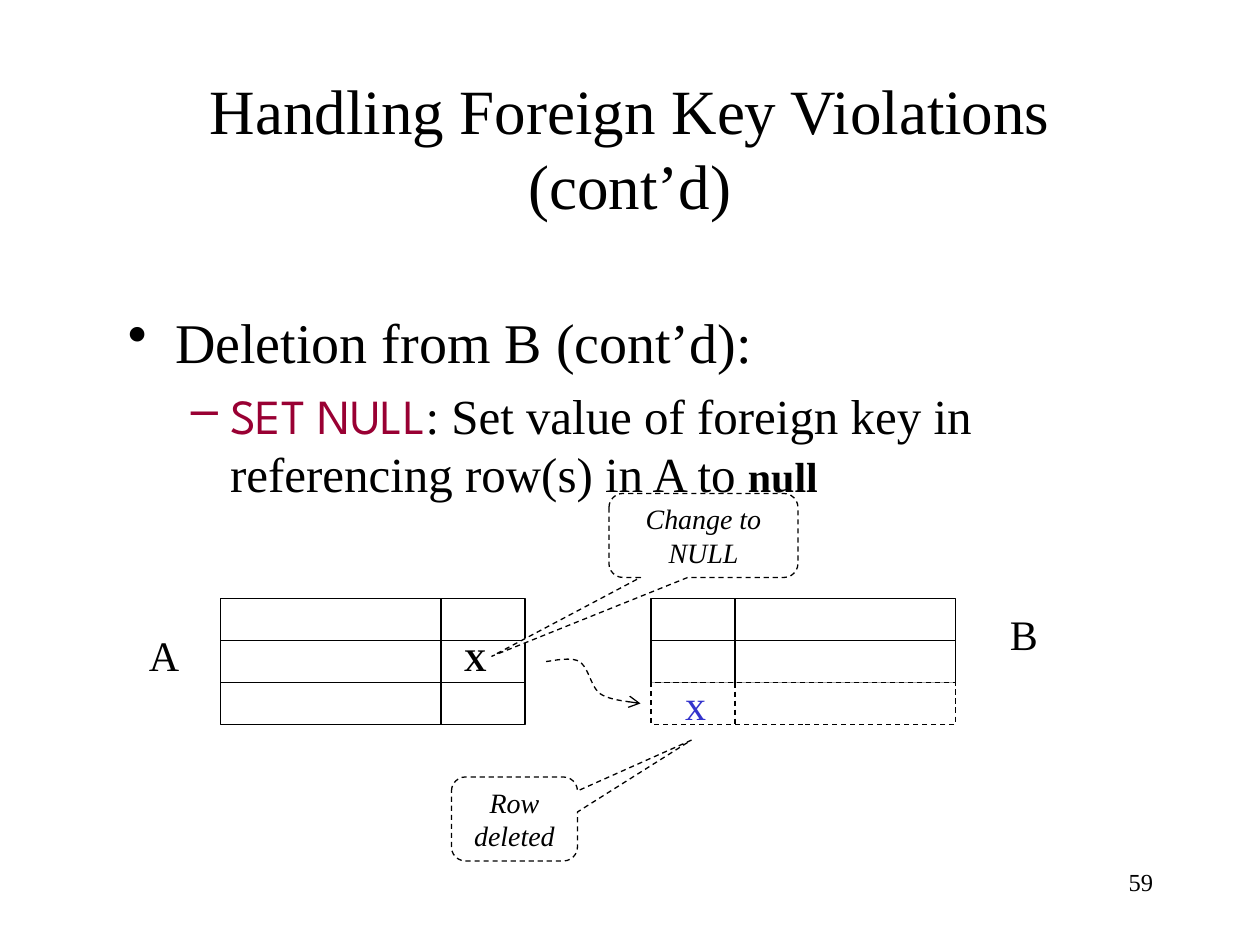
from dataclasses import dataclass

from lxml import etree
from pptx import Presentation
from pptx import util as u
from pptx.dml.color import RGBColor
from pptx.enum import dml, shapes, text
from pptx.oxml.ns import qn


@dataclass(frozen=True)
class Theme:
    font: str = "Times New Roman"
    keyword_font: str = "League Spartan"
    black: RGBColor = RGBColor(0, 0, 0)
    white: RGBColor = RGBColor(255, 255, 255)
    keyword: RGBColor = RGBColor(0x99, 0x00, 0x33)
    deleted: RGBColor = RGBColor(0x33, 0x33, 0xCC)
    title: int = 36
    body: int = 32
    detail: int = 28
    label: int = 24
    mark: int = 18
    note: int = 16
    number: int = 14
    line: float = 0.75


THEME = Theme()
ROW = 24  # height of a table row
TABLE_TOP, TABLE_WIDTH = 342, 174
CENTER = text.PP_ALIGN.CENTER
MIDDLE = text.MSO_ANCHOR.MIDDLE


def points(*values):
    return [u.Pt(value) for value in values]


def add_run(paragraph, words, size, color=THEME.black, **formats):
    run = paragraph.add_run()
    run.text = words
    run.font.color.rgb = color
    values = {"name": THEME.font, "size": u.Pt(size), **formats}
    for name, value in values.items():
        setattr(run.font, name, value)


def write(shape, words, size, color=THEME.black, align=text.PP_ALIGN.LEFT,
          anchor=text.MSO_ANCHOR.TOP, wrap=True, **formats):
    frame = shape.text_frame
    for name, value in {"word_wrap": wrap, "vertical_anchor": anchor}.items():
        setattr(frame, name, value)
    if not wrap:
        frame.auto_size = text.MSO_AUTO_SIZE.SHAPE_TO_FIT_TEXT
    paragraph = frame.paragraphs[0]
    paragraph.alignment = align
    add_run(paragraph, words, size, color, **formats)


def add_text(slide, box, *args, **options):
    write(slide.shapes.add_textbox(*points(*box)), *args, **options)


def add_bullet(paragraph, symbol, left, hanging, before=0):
    properties = paragraph._p.get_or_add_pPr()
    properties.set("marL", str(u.Pt(left)))
    properties.set("indent", str(u.Pt(-hanging)))
    etree.SubElement(properties, qn("a:buChar"), char=symbol)
    paragraph.space_before = u.Pt(before)


def style_line(line, dashed=False):
    line.color.rgb = THEME.black
    line.width = u.Pt(THEME.line)
    if dashed:
        line.dash_style = dml.MSO_LINE.DASH


def add_shape(slide, kind, box, dashed=False, adjustments=()):
    shape = slide.shapes.add_shape(kind, *points(*box))
    shape.shadow.inherit = False
    shape.fill.solid()
    shape.fill.fore_color.rgb = THEME.white
    style_line(shape.line, dashed)
    for index, value in enumerate(adjustments):
        shape.adjustments[index] = value
    return shape


def add_line(slide, start, end, dashed=False):
    connector = slide.shapes.add_connector(
        shapes.MSO_CONNECTOR.STRAIGHT, *points(*start, *end))
    style_line(connector.line, dashed)
    etree.SubElement(connector._element.spPr, qn("a:effectLst"))


def add_grid(slide, left, top, rows, divider, dashed=False):
    """A ruled box with equal rows and one column divider."""
    bottom = top + rows * ROW
    add_shape(slide, shapes.MSO_SHAPE.RECTANGLE,
              (left, top, TABLE_WIDTH, rows * ROW), dashed)
    for row in range(1, rows):
        y = top + row * ROW
        add_line(slide, (left, y), (left + TABLE_WIDTH, y), dashed)
    add_line(slide, (divider, top), (divider, bottom), dashed)


def add_callout(slide, box, words, tip):
    shape = add_shape(slide, shapes.MSO_SHAPE.ROUNDED_RECTANGULAR_CALLOUT, box,
                      True, (*tip, 0.167))
    write(shape, words, THEME.note, align=CENTER, anchor=MIDDLE, italic=True)


def add_curved_arrow(slide, start, curves, steps=12):
    """A dashed arrow along cubic curves, each (control, control, end)."""
    vertices, origin = [], start
    for first, second, end in curves:
        for step in range(1, steps + 1):
            t = step / steps
            vertices.append(points(*(
                (1 - t) ** 3 * a + 3 * t * (1 - t) ** 2 * b
                + 3 * t * t * (1 - t) * c + t ** 3 * d
                for a, b, c, d in zip(origin, first, second, end))))
        origin = end
    builder = slide.shapes.build_freeform(*points(*start))
    builder.add_line_segments(vertices, close=False)
    arrow = builder.convert_to_shape()
    arrow.shadow.inherit = False
    arrow.fill.background()
    style_line(arrow.line, True)
    etree.SubElement(arrow.line._get_or_add_ln(), qn("a:tailEnd"), type="arrow")


def add_body(slide):
    frame = slide.shapes.add_textbox(*points(66, 168, 612, 324)).text_frame
    frame.word_wrap = True
    frame.margin_top = u.Pt(8)
    heading = frame.paragraphs[0]
    add_bullet(heading, "•", 27, 27)
    add_run(heading, "Deletion from B (cont’d):", THEME.body)
    detail = frame.add_paragraph()
    detail.level = 1
    add_bullet(detail, "–", 58.5, 22.5, before=5.6)
    add_run(detail, "SET NULL", THEME.detail, THEME.keyword,
            name=THEME.keyword_font)
    add_run(detail, ": Set value of foreign key in referencing row(s) in A to ",
            THEME.detail)
    add_run(detail, "null", THEME.label, bold=True)


def main():
    presentation = Presentation()
    presentation.slide_width, presentation.slide_height = points(720, 540)
    slide = presentation.slides.add_slide(presentation.slide_layouts[6])

    # Page number, title and body
    add_text(slide, (516, 492, 150, 36), "59", THEME.number,
             align=text.PP_ALIGN.RIGHT)
    add_text(slide, (54, 30, 612, 108),
             "Handling Foreign Key Violations (cont’d)", THEME.title,
             align=CENTER, anchor=MIDDLE)
    add_body(slide)

    # Referencing table A with its foreign key value
    add_grid(slide, 126, TABLE_TOP, 3, 252)
    key = add_shape(slide, shapes.MSO_SHAPE.RECTANGULAR_CALLOUT,
                    (258, 362, 27, 29), adjustments=(-0.438, 0.7))
    key.fill.background()
    key.line.fill.background()
    write(key, "X", THEME.mark, wrap=False, bold=True)

    # Referenced table B, its last row deleted
    add_grid(slide, 372, TABLE_TOP, 2, 420)
    add_text(slide, (78, 356, 32, 36), "A", THEME.label, wrap=False)
    add_text(slide, (570, 344, 30, 36), "B", THEME.label, wrap=False)
    add_grid(slide, 372, TABLE_TOP + 2 * ROW, 1, 420, dashed=True)
    add_text(slide, (384, 384, 27, 36), "x", THEME.label, THEME.deleted,
             align=CENTER, wrap=False)

    # Callouts and the reference arrow
    add_callout(slide, (258, 444, 72, 48), "Row deleted", (1.403, -0.938))
    add_curved_arrow(slide, (312, 378), [
        ((315, 378), (325.5, 375), (331, 378)),
        ((336.5, 381.5), (337.5, 392.5), (343, 396.5)),
        ((349, 400.5), (361, 401), (366, 402)),
    ])
    add_callout(slide, (348, 282, 108, 48), "Change to NULL", (-1.12, 1.438))

    presentation.save("out.pptx")


if __name__ == "__main__":
    main()
